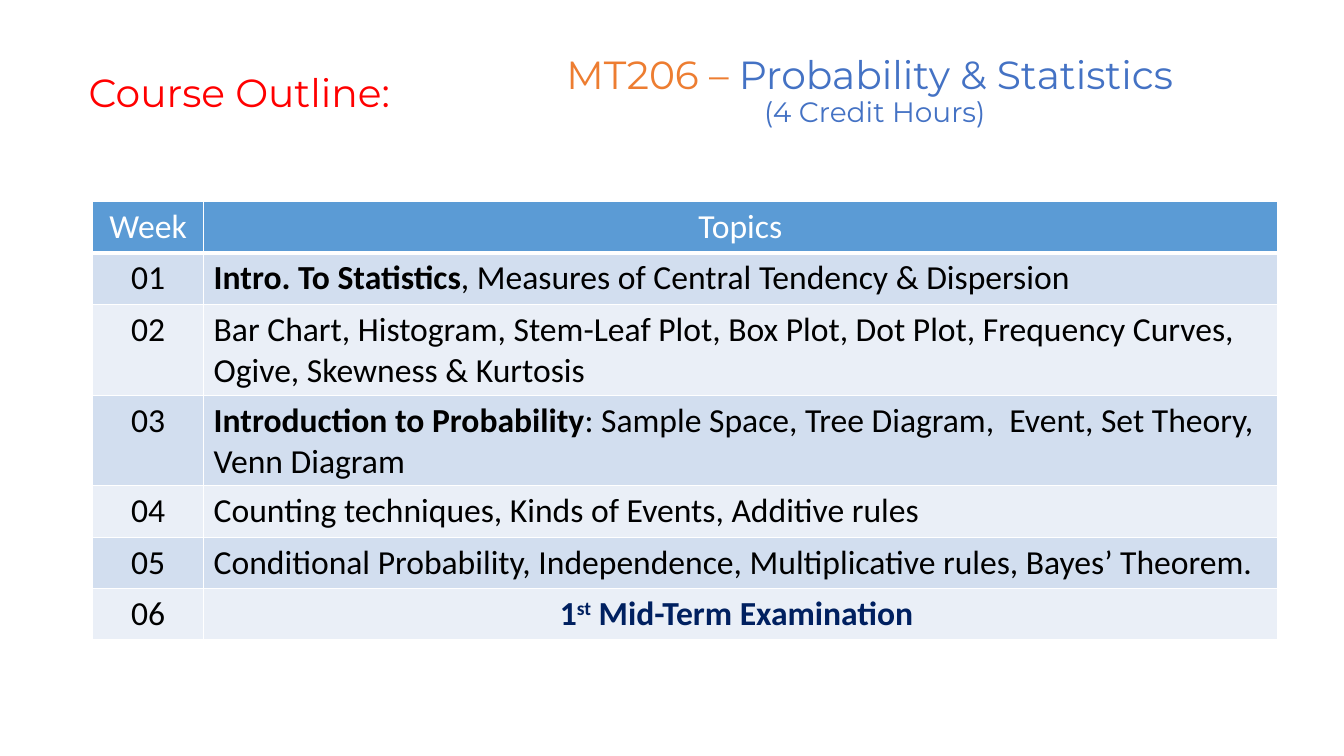
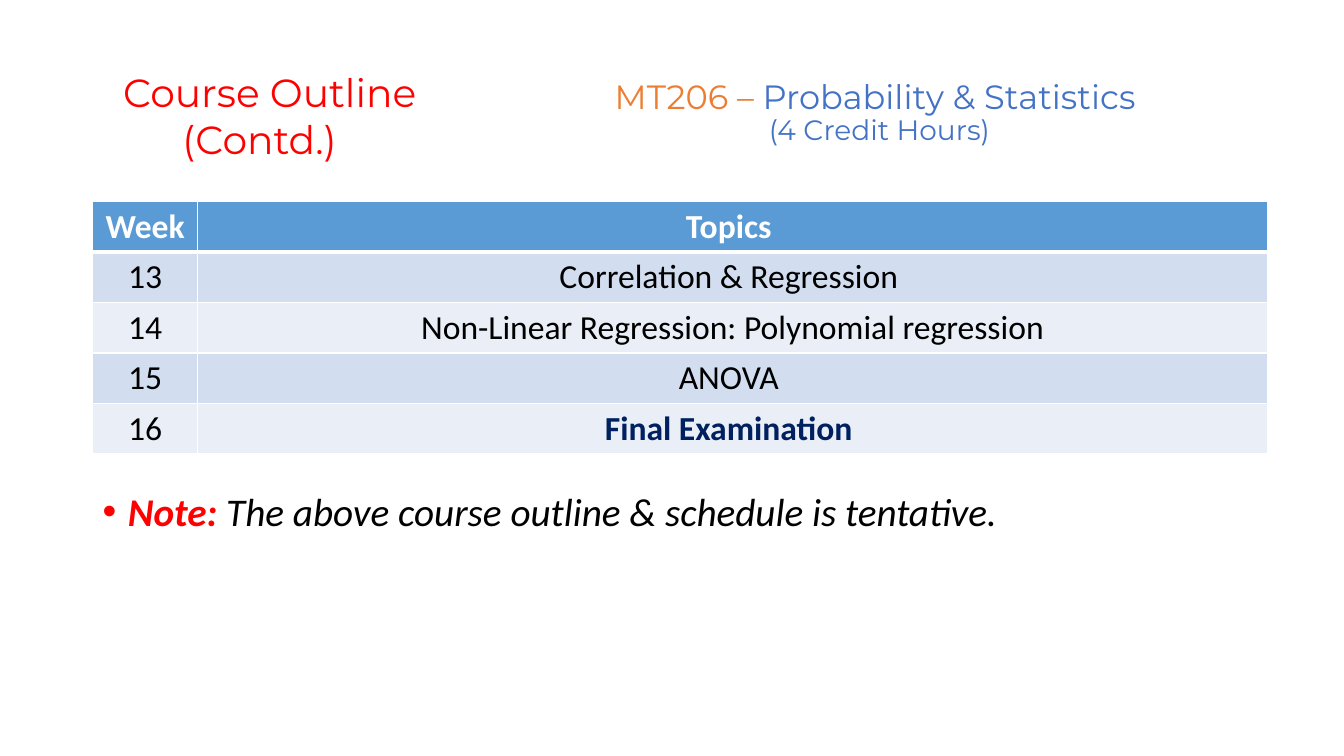
from collections import namedtuple
from dataclasses import dataclass

from lxml.etree import SubElement
from pptx import Presentation
from pptx.dml.color import RGBColor
from pptx.enum.text import MSO_ANCHOR as Anchor, MSO_AUTO_SIZE as AutoSize, PP_ALIGN as Align
from pptx.oxml.ns import qn
from pptx.util import Pt

Box = namedtuple("Box", "left top width height")


@dataclass(frozen=True)
class Theme:
    """Colours, fonts and sizes shared by the slides."""
    heading_font: str = "Montserrat"
    body_font: str = "Calibri"
    heading_size: int = 28
    credit_size: int = 20
    table_size: int = 24
    note_size: int = 28
    red: str = "FF0000"
    orange: str = "ED7D31"
    blue: str = "4472C4"
    navy: str = "002060"
    black: str = "000000"
    white: str = "FFFFFF"
    header_fill: str = "5B9BD5"
    bands: tuple = ("D2DEEF", "EAEFF7")
    rule: int = 1
    header_rule: int = 3


THEME = Theme()
HEADING_BOX = Box(56.16, 45.36, 272.88, 41.04)
EXAM = dict(color=THEME.navy, bold=True)


def write(paragraph, text, size=THEME.table_size, font=THEME.body_font,
          color=THEME.black, bold=False, italic=False, raised=0):
    """Add text to a paragraph, turning newlines into line breaks."""
    for number, line in enumerate(text.split("\n")):
        if number:
            paragraph.add_line_break()
        run = paragraph.add_run()
        run.text = line
        run.font.size, run.font.name = Pt(size), font
        run.font.bold, run.font.italic = bold, italic
        run.font.color.rgb = RGBColor.from_string(color)
        if raised:
            run.font._element.set("baseline", str(raised * 1000))


def add_text_frame(slide, box):
    """Add a wrapping text box and return its frame."""
    frame = slide.shapes.add_textbox(*map(Pt, box)).text_frame
    frame.word_wrap = True
    return frame


def add_heading(slide, box, text, align):
    """Add the red outline heading."""
    frame = add_text_frame(slide, box)
    frame.auto_size = AutoSize.SHAPE_TO_FIT_TEXT
    heading = frame.paragraphs[0]
    heading.alignment = align
    write(heading, text, size=THEME.heading_size, font=THEME.heading_font, color=THEME.red)


def add_course_title(slide, box, size):
    """Add the course code, name and credit hours."""
    frame = add_text_frame(slide, box)
    frame.vertical_anchor = Anchor.MIDDLE
    title = frame.paragraphs[0]
    title.alignment, title.line_spacing = Align.CENTER, 0.9
    font = THEME.heading_font
    write(title, "MT206 – ", size=size, font=font, color=THEME.orange)
    write(title, "Probability & Statistics \n", size=size, font=font, color=THEME.blue)
    write(title, "(4 Credit Hours)", size=THEME.credit_size, font=font, color=THEME.blue)


def style_cell(cell, fill, top, bottom):
    """Give a cell its white rules and its fill."""
    properties = cell._tc.get_or_add_tcPr()
    for side, width in zip("LRTB", (THEME.rule, THEME.rule, top, bottom)):
        line = SubElement(properties, qn(f"a:ln{side}"), w=str(Pt(width)))
        SubElement(SubElement(line, qn("a:solidFill")), qn("a:srgbClr"), val=THEME.white)
    cell.fill.solid()
    cell.fill.fore_color.rgb = RGBColor.from_string(fill)


def add_schedule(slide, box, week_width, row_height, header, weeks, header_bold=False):
    """Add the week table; each week is a number, an alignment and topic runs."""
    header_format = dict(color=THEME.white, bold=header_bold)
    week_title, topic_title = header
    rows = [(week_title, Align.CENTER, [(topic_title, header_format)])] + weeks
    holder = slide.shapes.add_table(len(rows), 2, *map(Pt, box))
    schedule = holder.table
    schedule.columns[0].width = Pt(week_width)
    schedule.columns[1].width = Pt(box.width - week_width)
    for number, (week, align, topics) in enumerate(rows):
        schedule.rows[number].height = Pt(row_height)
        fill = THEME.bands[(number - 1) % 2] if number else THEME.header_fill
        top = THEME.header_rule if number == 1 else THEME.rule
        bottom = THEME.rule if number else THEME.header_rule
        week_runs = [(week, {} if number else header_format)]
        for column, (runs, side) in enumerate(((week_runs, Align.CENTER), (topics, align))):
            cell = schedule.cell(number, column)
            style_cell(cell, fill, top, bottom)
            paragraph = cell.text_frame.paragraphs[0]
            paragraph.alignment = side
            for text, look in runs:
                write(paragraph, text, **look)
    holder.height = Pt(box.height)


def add_note(slide, box):
    """Add the bulleted note under the schedule."""
    note = add_text_frame(slide, box).paragraphs[0]
    note.line_spacing = 0.9
    properties = note._p.get_or_add_pPr()
    properties.set("marL", str(Pt(18)))
    properties.set("indent", str(Pt(-18)))
    SubElement(properties, qn("a:buFont"), typeface="Arial")
    SubElement(properties, qn("a:buChar"), char="•")
    write(note, "Note: ", size=THEME.note_size, color=THEME.red, bold=True, italic=True)
    write(note, "The above course outline & schedule is tentative. ",
          size=THEME.note_size, italic=True)


def build_first_weeks(slide):
    """Build the slide for weeks 1 to 6."""
    add_course_title(slide, Box(339.12, 13.68, 571.68, 104.4), THEME.heading_size)
    weeks = [
        ("01", Align.LEFT, [("Intro. To Statistics", dict(bold=True)),
                            (", Measures of Central Tendency & Dispersion", {})]),
        ("02", Align.LEFT, [("Bar Chart, Histogram, Stem-Leaf Plot, Box Plot, Dot Plot, "
                             "Frequency Curves,  Ogive, Skewness & Kurtosis ", {})]),
        ("03", Align.LEFT, [("Introduction to Probability", dict(bold=True)),
                            (": Sample Space, Tree Diagram,  Event, Set Theory, "
                             "Venn Diagram", {})]),
        ("04", Align.LEFT, [("Counting techniques, Kinds of Events, Additive rules ", {})]),
        ("05", Align.LEFT, [("Conditional Probability, Independence, Multiplicative rules, "
                             "Bayes’ Theorem. ", {})]),
        ("06", Align.CENTER, [("1", EXAM), ("st", dict(EXAM, raised=30)),
                              (" Mid-Term Examination ", EXAM)]),
    ]
    add_schedule(slide, Box(66.24, 144, 846, 314.64), 79.2, 36.72, ("Week", "Topics"), weeks)
    add_heading(slide, HEADING_BOX, "Course Outline: ", Align.LEFT)


def build_last_weeks(slide):
    """Build the slide for weeks 13 to 16."""
    add_course_title(slide, Box(362.16, 28.8, 532.08, 104.4), THEME.table_size)
    add_note(slide, Box(66.24, 348, 828, 40))
    topics = [
        ("Correlation & Regression ", {}),
        ("Non-Linear Regression: Polynomial regression", {}),
        ("ANOVA ", {}),
        ("Final Examination ", EXAM),
    ]
    weeks = [(str(week), Align.CENTER, [topic]) for week, topic in enumerate(topics, 13)]
    add_schedule(slide, Box(66.24, 144, 839.2, 180), 74.88, 29.52,
                 ("Week", "Topics "), weeks, header_bold=True)
    add_heading(slide, HEADING_BOX._replace(height=74.88),
                "Course Outline (Contd.)  ", Align.CENTER)


def main():
    """Build and save the presentation."""
    deck = Presentation()
    deck.slide_width, deck.slide_height = Pt(960), Pt(540)
    for build in (build_first_weeks, build_last_weeks):
        build(deck.slides.add_slide(deck.slide_layouts[6]))
    deck.save("out.pptx")


main()
